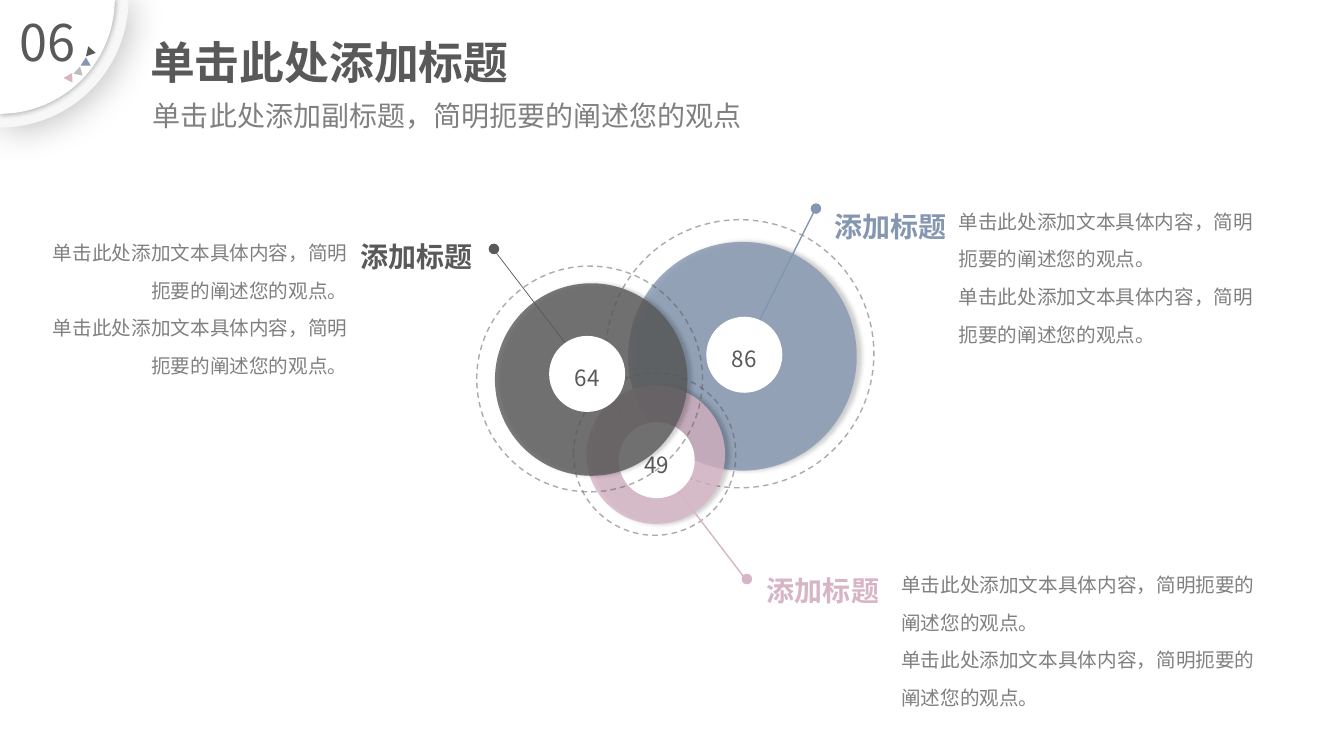
import math
import pptx
import pptx.util
import pptx.dml.color
import pptx.enum.dml
import pptx.enum.shapes
import pptx.enum.text
import pptx.oxml
import pptx.oxml.ns

COLORS = {"dark": "595959", "blue": "8496B0", "pink": "D7B5C6", "grey": "BCBCBC",
          "text": "808080", "white": "FFFFFF", "rim": "F7F7F7", "black": "000000"}
FONT = "Noto Sans CJK SC"
NUMBER = "06"
TITLE = "单击此处添加标题"
SUBTITLE = "单击此处添加副标题，简明扼要的阐述您的观点"
LABEL = "添加标题"
BODY = ["单击此处添加文本具体内容，简明扼要的阐述您的观点。"] * 2
HUB_SIZE, DOT_SIZE = 54.3, 7.5
CORNER = [(91.8, "rim", (25, 26, 3, 45)), (82, "white", (40, 5, 0, 0))]
TRIANGLES = [
    ("dark", [(68.4, 37.8), (61.4, 40.3), (63, 33.1)]),
    ("blue", [(64.8, 46.8), (57.6, 46.8), (61.4, 41)]),
    ("grey", [(59, 54), (52.5, 52.6), (57.2, 47.5)]),
    ("pink", [(51.8, 59), (45.4, 55.7), (51.5, 52.2)]),
]
BUBBLES = [
    {"value": "86", "color": "blue", "align": "l", "disc": (530.3, 254.5, 163.4),
     "ring": (528.5, 252.7, 191.5), "hub": (531.7, 253.4), "dot": (582.8, 149),
     "leader": (583.2, 147.6, 537.1, 239.8), "weight": 1,
     "label": (589, 142.6, 122.4, 31), "body": (684.7, 143.3, 212.4, 100.1)},
    {"value": "49", "color": "pink", "align": "l", "disc": (468.4, 324.7, 99),
     "ring": (467.6, 324.4, 115.9), "hub": (469.1, 328.7), "dot": (533.5, 413.6),
     "leader": (532.8, 414, 474.5, 337.7), "weight": 1,
     "label": (540.7, 402.5, 106.6, 33.1), "body": (643.7, 402.5, 252.7, 100.8)},
    {"value": "64", "color": "dark", "align": "r", "disc": (422.3, 271.1, 137.5),
     "ring": (421.2, 270.7, 161.3), "hub": (419.4, 267.1), "dot": (352.8, 177.8),
     "leader": (353.5, 179.3, 411.8, 255.6), "weight": 0.5,
     "label": (235.4, 164.2, 109.4, 38.2), "body": (27.4, 164.2, 221, 103)},
]

Pt = pptx.util.Pt
qn = pptx.oxml.ns.qn
ANCHOR = pptx.enum.text.MSO_ANCHOR
ALIGN = {"l": pptx.enum.text.PP_ALIGN.LEFT, "c": pptx.enum.text.PP_ALIGN.CENTER,
         "r": pptx.enum.text.PP_ALIGN.RIGHT}

prs = pptx.Presentation()
prs.slide_width, prs.slide_height = Pt(960), Pt(540)
shapes = prs.slides.add_slide(prs.slide_layouts[6]).shapes


def child(parent, tag, **attrs):
    el = pptx.oxml.parse_xml(f"<{tag} {pptx.oxml.ns.nsdecls('a')}/>")
    for key, value in attrs.items():
        el.set(key, str(value))
    parent.append(el)
    return el


def paint(fill, color, alpha=100):
    fill.solid()
    fill.fore_color.rgb = pptx.dml.color.RGBColor.from_string(COLORS[color])
    if alpha < 100:
        child(fill._xPr.find(".//" + qn("a:srgbClr")), "a:alpha", val=alpha * 1000)


def finish(s, color=None, alpha=100, shadow=None):
    s.shadow.inherit = False
    s.line.fill.background()
    if color:
        paint(s.fill, color, alpha)
    else:
        s.fill.background()
    if shadow:
        opacity, blur, dist, angle = shadow
        effects = s._element.spPr.find(qn("a:effectLst"))
        outer = child(effects, "a:outerShdw", blurRad=Pt(blur), dist=Pt(dist),
                      dir=angle * 60000, algn="ctr", rotWithShape=0)
        child(child(outer, "a:srgbClr", val=COLORS["black"]), "a:alpha", val=opacity * 1000)
    return s


def polygon(points, color, shadow=None):
    emu = [(Pt(x), Pt(y)) for x, y in points]
    builder = shapes.build_freeform(*emu[0])
    builder.add_line_segments(emu[1:], close=True)
    finish(builder.convert_to_shape(), color, shadow=shadow)


def circle(cx, cy, size, color=None, alpha=100, shadow=None):
    s = shapes.add_shape(pptx.enum.shapes.MSO_SHAPE.OVAL, Pt(cx - size / 2),
                         Pt(cy - size / 2), Pt(size), Pt(size))
    return finish(s, color, alpha, shadow)


def write(s, lines, size, color, align="l", bold=False, spacing=1.0,
          anchor=ANCHOR.TOP, inset=(7.2, 0)):
    tf = s.text_frame
    tf.word_wrap = True
    tf.vertical_anchor = anchor
    tf.margin_left = tf.margin_right = Pt(inset[0])
    tf.margin_top = tf.margin_bottom = Pt(inset[1])
    tf.text = "\n".join(lines)
    for p in tf.paragraphs:
        p.alignment = ALIGN[align]
        p.line_spacing = spacing
        for r in p.runs:
            r.font.size, r.font.bold, r.font.name = Pt(size), bold, FONT
            paint(r.font.fill, color)
            child(r._r.get_or_add_rPr(), "a:ea", typeface=FONT)


def textbox(box, lines, size, color, **style):
    write(shapes.add_textbox(*map(Pt, box)), lines, size, color, **style)


def bubble(b):
    color = b["color"]
    circle(*b["disc"], color, 80, (23, 3, 3, 0))
    ring = circle(*b["ring"])
    paint(ring.line.fill, "dark", 50)
    ring.line.width = Pt(1)
    ring.line.dash_style = pptx.enum.dml.MSO_LINE.DASH
    leader = shapes.add_connector(pptx.enum.shapes.MSO_CONNECTOR.STRAIGHT,
                                  *map(Pt, b["leader"]))
    paint(leader.line.fill, color)
    leader.line.width = Pt(b["weight"])
    child(leader._element.spPr, "a:effectLst")
    circle(*b["dot"], DOT_SIZE, color)
    textbox(b["label"], [LABEL], 20, color, align=b["align"], bold=True, spacing=1.3)
    textbox(b["body"], BODY, 14, "text", align=b["align"], spacing=1.6,
            anchor=ANCHOR.MIDDLE, inset=(0, 0))
    hub = circle(*b["hub"], HUB_SIZE, "white")
    write(hub, [b["value"]], 16, "dark", align="c", spacing=1.3, anchor=ANCHOR.MIDDLE)


for radius, color, shadow in CORNER:
    angles = [math.radians(a) for a in range(0, 91, 2)]
    arc = [(radius * math.cos(a), radius * math.sin(a) - 0.7) for a in angles]
    polygon([(0, -0.7)] + arc, color, shadow)
for color, points in TRIANGLES:
    polygon(points, color)
textbox((2.9, 4.3, 62.6, 51.1), [NUMBER], 36, "dark", align="c", inset=(7.2, 3.6))
for b in BUBBLES:
    bubble(b)
textbox((100.1, 29.5, 445, 37.4), [TITLE], 32, "dark", bold=True, spacing=0.9,
        anchor=ANCHOR.BOTTOM, inset=(7.2, 3.6))
textbox((102.2, 69.8, 443.5, 27.4), [SUBTITLE], 20, "text", spacing=0.9, inset=(7.2, 3.6))
prs.save("out.pptx")
